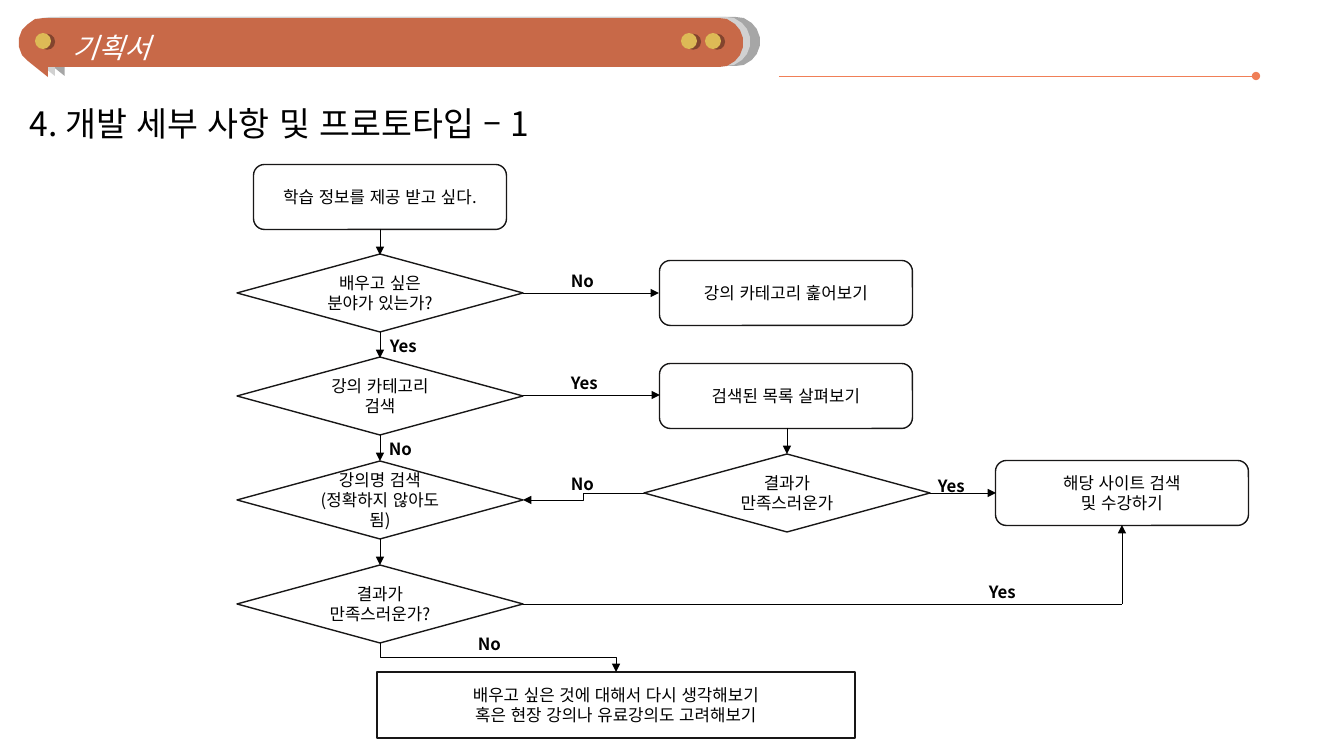
from math import cos, radians, sin

from lxml import etree
from pptx import Presentation
from pptx.dml.color import RGBColor
from pptx.enum.lang import MSO_LANGUAGE_ID
from pptx.enum.shapes import MSO_CONNECTOR, MSO_SHAPE
from pptx.enum.text import MSO_ANCHOR, PP_ALIGN
from pptx.oxml.ns import qn
from pptx.util import Emu, Pt

PX = 914400 / 100.8
FONT = "Noto Sans CJK KR"
BLACK = RGBColor(0x00, 0x00, 0x00)
WHITE = RGBColor(0xFF, 0xFF, 0xFF)
OUTLINE = RGBColor(0x18, 0x17, 0x17)
ORANGE = RGBColor(0xF0, 0x7F, 0x57)
RUST = RGBColor(0xC8, 0x69, 0x48)
LIGHT_GREY = RGBColor(0xD1, 0xD1, 0xD1)
GOLD = RGBColor(0xDD, 0xBA, 0x56)

KOREAN = MSO_LANGUAGE_ID.KOREAN
DIAMOND, ROUND, RECT = MSO_SHAPE.DIAMOND, MSO_SHAPE.ROUNDED_RECTANGLE, MSO_SHAPE.RECTANGLE
OVAL = MSO_SHAPE.OVAL
STRAIGHT, ELBOW = MSO_CONNECTOR.STRAIGHT, MSO_CONNECTOR.ELBOW
LEFT, CENTER = PP_ALIGN.LEFT, PP_ALIGN.CENTER
TOP, MIDDLE = MSO_ANCHOR.TOP, MSO_ANCHOR.MIDDLE

HEADER = "기획서"
TITLE = "4. 개발 세부 사항 및 프로토타입 – 1"
DOTS_X = [35, 681, 705]

SIZES = {DIAMOND: (286, 78), ROUND: (253, 65), RECT: (478, 66)}
# kind, centre x, centre y, paragraphs
NODES = [
    (ROUND, 380, 197, ["학습 정보를 제공 받고 싶다."]),
    (DIAMOND, 380, 293, ["배우고 싶은 분야가 있는가?"]),
    (DIAMOND, 380, 396, ["강의 카테고리 검색"]),
    (DIAMOND, 380, 500, ["강의명 검색(정확하지 않아도 됨)"]),
    (DIAMOND, 380, 604, ["결과가 만족스러운가?"]),
    (ROUND, 786, 293, ["강의 카테고리 훑어보기"]),
    (ROUND, 786, 396, ["검색된 목록 살펴보기"]),
    (DIAMOND, 787, 493, ["결과가 만족스러운가"]),
    (ROUND, 1122, 493, ["해당 사이트 검색", "및 수강하기"]),
    (RECT, 616, 705, ["배우고 싶은 것에 대해서 다시 생각해보기",
                      "혹은 현장 강의나 유료강의도 고려해보기"]),
]
# start x, start y, end x, end y
ARROWS = [
    (380, 229, 380, 255), (380, 332, 380, 358),
    (380, 435, 380, 461), (380, 539, 380, 565),
    (523, 293, 659, 293), (523, 395, 660, 395),
    (787, 428, 787, 454), (930, 493, 996, 493),
    (1122, 604, 1122, 525),
]
# text, left, top
LABELS = [
    ("No", 561, 266), ("No", 379, 434), ("Yes", 380, 331), ("Yes", 561, 368),
    ("No", 561, 469), ("Yes", 928, 471), ("No", 468, 629), ("Yes", 979, 577),
]
LABEL_WIDTHS = {"No": 55, "Yes": 60}


def emu(*lengths):
    return [Emu(round(n * PX)) for n in lengths]


def write(sp, paragraphs, align=CENTER, anchor=MIDDLE, wrap=True, color=BLACK, **font):
    tf = sp.text_frame
    tf.word_wrap, tf.vertical_anchor = wrap, anchor
    values = {"name": FONT, "size": Pt(12), "language_id": KOREAN, **font}
    for i, text in enumerate(paragraphs):
        p = tf.add_paragraph() if i else tf.paragraphs[0]
        p.alignment = align
        r = p.add_run()
        r.text = text
        for key, value in values.items():
            setattr(r.font, key, value)
        r.font.color.rgb = color
        etree.SubElement(r.font._element, qn("a:ea"), typeface=FONT)


def paint(sp, fill, line=None):
    sp.shadow.inherit = False
    sp.fill.solid()
    sp.fill.fore_color.rgb = fill
    if line is None:
        sp.line.fill.background()
    else:
        sp.line.color.rgb = line
        sp.line.width = Pt(1)
    return sp


def cast_shadow(sp, distance, angle=0):
    """Hard-edged translucent black shadow; distance in points, angle in degrees."""
    effects = sp._element.spPr.find(qn("a:effectLst"))
    shadow = etree.SubElement(effects, qn("a:outerShdw"), blurRad="0", dist=str(Pt(distance)),
                              dir=str(angle * 60000), algn="l", rotWithShape="0")
    color = etree.SubElement(shadow, qn("a:srgbClr"), val=str(BLACK))
    etree.SubElement(color, qn("a:alpha"), val="34000")


def connect(shapes, ends, kind=STRAIGHT, color=BLACK, tail="triangle"):
    c = shapes.add_connector(kind, *emu(*ends))
    c.line.color.rgb = color
    c.line.width = Pt(0.5)
    if tail:
        etree.SubElement(c.line._get_or_add_ln(), qn("a:tailEnd"), type=tail)
    etree.SubElement(c._element.spPr, qn("a:effectLst"))
    return c


def connect_down(shapes, x1, y1, x2, y2):
    """Elbow arrow that leaves and arrives vertically: a quarter-turned elbow."""
    cx, cy = (x1 + x2) / 2, (y1 + y2) / 2
    dx, dy = (y2 - y1) / 2, (x2 - x1) / 2
    c = connect(shapes, (cx + dx, cy - dy, cx - dx, cy + dy), ELBOW)
    c._element.spPr.find(qn("a:xfrm")).set("rot", "16200000")


def arc(cx, cy, radius, start, stop):
    return [(cx + radius * cos(radians(a)), cy + radius * sin(radians(a)))
            for a in range(start, stop + 1, 20)]


def add_banner(shapes, left, top, color):
    """Rounded bar with a small speech tail at its lower left."""
    points = (arc(700, 24.5, 24.5, -90, 100) + [(29, 49), (29, 59), (9, 43)]
              + arc(24.5, 24.5, 24.5, 150, 270))
    points = [(x + left, y + top) for x, y in points]
    builder = shapes.build_freeform(*points[0], scale=PX)
    builder.add_line_segments(points[1:])
    return paint(builder.convert_to_shape(), color)


def add_text(shapes, box, text, **font):
    tb = shapes.add_textbox(*emu(*box))
    write(tb, [text], LEFT, TOP, False, **font)


def main():
    prs = Presentation()
    prs.slide_width, prs.slide_height = emu(1344, 756)
    shapes = prs.slides.add_slide(prs.slide_layouts[6]).shapes

    cast_shadow(add_banner(shapes, 26, 17, LIGHT_GREY), 7)
    banner = add_banner(shapes, 19, 18, RUST)
    banner.text_frame.margin_left = emu(54)[0]
    write(banner, [HEADER], LEFT, size=Pt(20), italic=True, color=WHITE)
    for x in DOTS_X:
        dot = paint(shapes.add_shape(OVAL, *emu(x, 33, 16, 16)), GOLD)
        cast_shadow(dot, 3, 10)
    connect(shapes, (779, 76, 1256, 76), color=ORANGE, tail="oval")
    add_text(shapes, (20, 98, 540, 50), TITLE, size=Pt(24))

    for kind, cx, cy, paragraphs in NODES:
        w, h = SIZES[kind]
        sp = shapes.add_shape(kind, *emu(cx - w / 2, cy - h / 2, w, h))
        write(paint(sp, WHITE, OUTLINE), paragraphs)
    for ends in ARROWS:
        connect(shapes, ends)
    connect(shapes, (1122, 604, 523, 604), tail=None)
    connect(shapes, (644, 493, 523, 500), ELBOW)
    connect_down(shapes, 380, 643, 616, 672)
    for text, x, y in LABELS:
        add_text(shapes, (x, y, LABEL_WIDTHS[text], 27), text, bold=True)

    prs.save("out.pptx")


if __name__ == "__main__":
    main()
